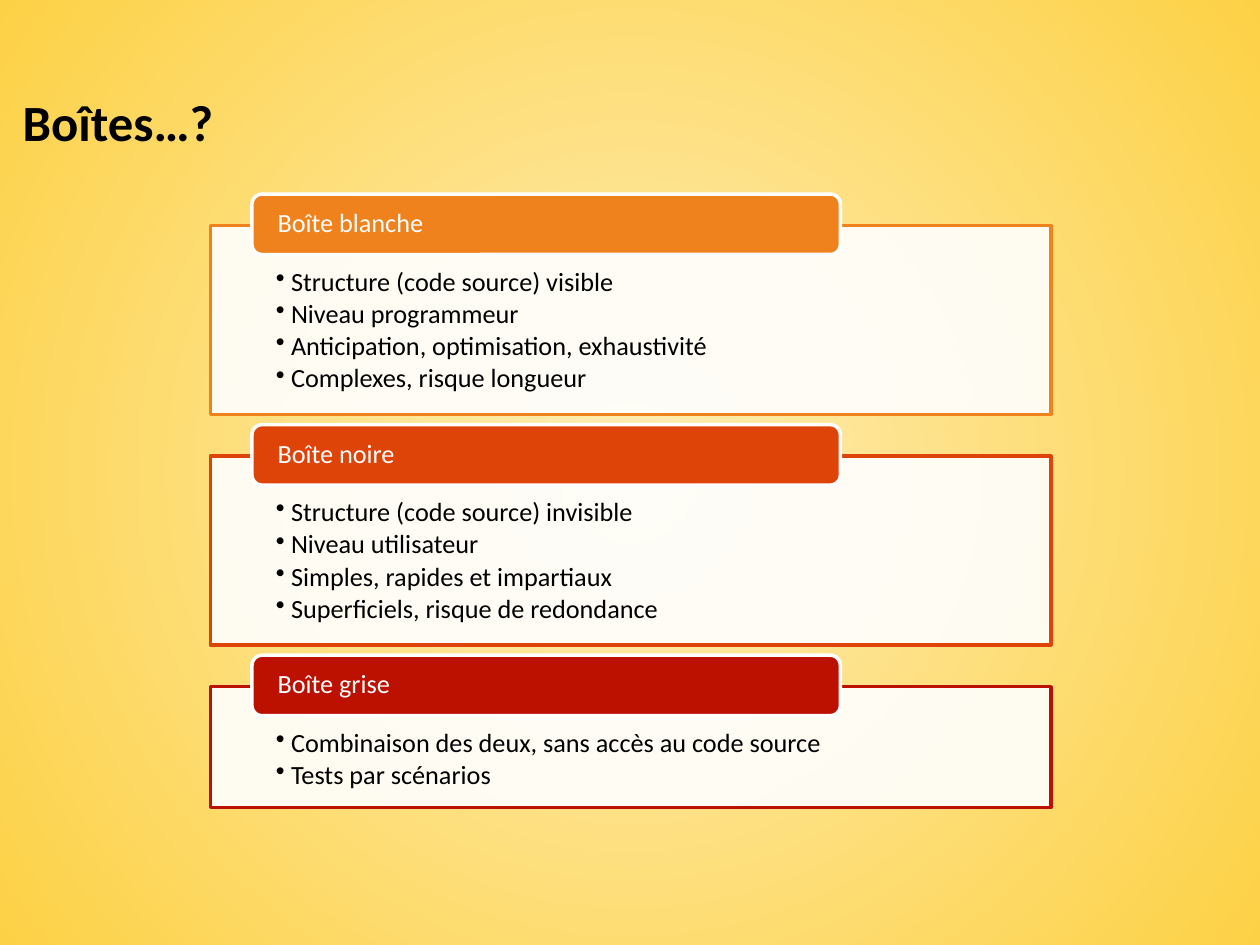
from dataclasses import dataclass

import pptx
import pptx.dml.color
import pptx.enum.shapes
import pptx.enum.text
import pptx.oxml
import pptx.oxml.ns
import pptx.oxml.xmlchemy
import pptx.util

Inches = pptx.util.Inches
Pt = pptx.util.Pt
ANCHOR = pptx.enum.text.MSO_ANCHOR
LEFT = pptx.enum.text.PP_ALIGN.LEFT
SHAPES = pptx.enum.shapes.MSO_SHAPE
qn = pptx.oxml.ns.qn


def rgb(value):
    return pptx.dml.color.RGBColor.from_string(value)


def add_element(parent, tag, **attributes):
    child = pptx.oxml.xmlchemy.OxmlElement(tag)
    for name, value in attributes.items():
        child.set(name, value)
    parent.append(child)
    return child


@dataclass(frozen=True)
class Theme:
    font: str = "Calibri"
    title_size: int = 29
    body_size: int = 15
    text: str = "000000"
    white: str = "FFFFFF"
    glow_center: str = "FEEDB5"
    glow_edge: str = "FDD146"
    line_width: int = 2


class BoxSlide:
    """Holds the theme and the current slide."""

    def __init__(self, presentation, theme):
        self.theme = theme
        self.slide = presentation.slides.add_slide(presentation.slide_layouts[5])

    def background(self):
        fill = self.slide.background.fill
        fill.gradient()
        colors = (self.theme.glow_center, self.theme.glow_edge)
        for stop, position, color in zip(fill.gradient_stops, (0, 1), colors):
            stop.position = position
            stop.color.rgb = rgb(color)
        # Turn the linear gradient into a circular one
        linear = self.slide.element.find(".//" + qn("a:lin"))
        gradient = linear.getparent()
        gradient.remove(linear)
        circle = add_element(gradient, "a:path", path="circle")
        add_element(circle, "a:fillToRect", l="50000", t="50000", r="50000", b="50000")

    def style(self, paragraph, size, color, bold=False):
        font = paragraph.font
        font.name, font.size, font.bold = self.theme.font, Pt(size), bold
        font.color.rgb = rgb(color)

    def title(self, wording):
        title = self.slide.shapes.title
        title.left, title.top = Inches(0.08), Inches(0.63)
        title.width, title.height = Inches(9.75), Inches(0.67)
        frame = title.text_frame
        frame.text = wording
        frame.auto_size = pptx.enum.text.MSO_AUTO_SIZE.NONE
        frame.vertical_anchor = ANCHOR.MIDDLE
        frame.paragraphs[0].alignment = LEFT
        self.style(frame.paragraphs[0], self.theme.title_size, self.theme.text, True)

    def block(self, preset, place, fill, line, anchor, insets, lines, color):
        """A filled, outlined shape with left-aligned lines of text."""
        block = self.slide.shapes.add_shape(preset, *map(Inches, place))
        block.shadow.inherit = False
        block.fill.solid()
        block.fill.fore_color.rgb = rgb(fill)
        block.line.color.rgb = rgb(line)
        block.line.width = Pt(self.theme.line_width)
        frame = block.text_frame
        frame.word_wrap = True
        frame.vertical_anchor = anchor
        (frame.margin_left, frame.margin_top,
         frame.margin_right, frame.margin_bottom) = map(Inches, insets)
        frame.text = "\n".join(lines)
        for paragraph in frame.paragraphs:
            paragraph.alignment = LEFT
            paragraph.line_spacing = 0.9
            self.style(paragraph, self.theme.body_size, color)
        return block

    def panel(self, top, height, accent, points):
        panel = self.block(SHAPES.RECTANGLE, (1.67, top, 6.67, height),
                           self.theme.white, accent, ANCHOR.TOP,
                           (0.52, 0.34, 0.52, 0.12), (), self.theme.text)
        fill_color = panel.element.spPr.find(qn("a:solidFill"))[0]
        add_element(fill_color, "a:alpha", val="90000")
        frame = panel.text_frame
        for index, point in enumerate(points):
            paragraph = frame.paragraphs[0] if index == 0 else frame.add_paragraph()
            paragraph.text = point
            paragraph.level = 1
            paragraph.alignment = LEFT
            paragraph.line_spacing = 0.9
            paragraph.space_after = Pt(2.25)
            properties = paragraph._p.get_or_add_pPr()
            for old in properties.findall(qn("a:defRPr")):
                properties.remove(old)
            properties.set("marL", str(Inches(0.12)))
            properties.set("indent", str(Inches(-0.12)))
            add_element(properties, "a:buChar", char="•")
            self.style(paragraph, self.theme.body_size, self.theme.text)

    def label(self, top, accent, wording):
        self.block(SHAPES.ROUNDED_RECTANGLE, (2, top, 4.67, 0.48),
                   accent, self.theme.white, ANCHOR.MIDDLE,
                   (0.18, 0, 0.18, 0), [wording], self.theme.white)


BOXES = [
    ("Boîte blanche", "F0821E", [
        "Structure (code source) visible",
        "Niveau programmeur",
        "Anticipation, optimisation, exhaustivité",
        "Complexes, risque longueur",
    ]),
    ("Boîte noire", "DE4407", [
        "Structure (code source) invisible",
        "Niveau utilisateur",
        "Simples, rapides et impartiaux",
        "Superficiels, risque de redondance",
    ]),
    ("Boîte grise", "BC1100", [
        "Combinaison des deux, sans accès au code source",
        "Tests par scénarios",
    ]),
]


def main():
    presentation = pptx.Presentation()
    presentation.slide_width, presentation.slide_height = Inches(10), Inches(7.5)
    page = BoxSlide(presentation, Theme())
    page.background()
    page.title("Boîtes…?")

    # Each panel grows with its points; its label straddles the top edge
    top, gap, label_rise = 1.79, 0.33, 0.25
    for name, accent, points in BOXES:
        height = 0.42 + 0.27 * len(points)
        page.panel(top, height, accent, points)
        page.label(top - label_rise, accent, name)
        top += height + gap

    presentation.save("out.pptx")


if __name__ == "__main__":
    main()
